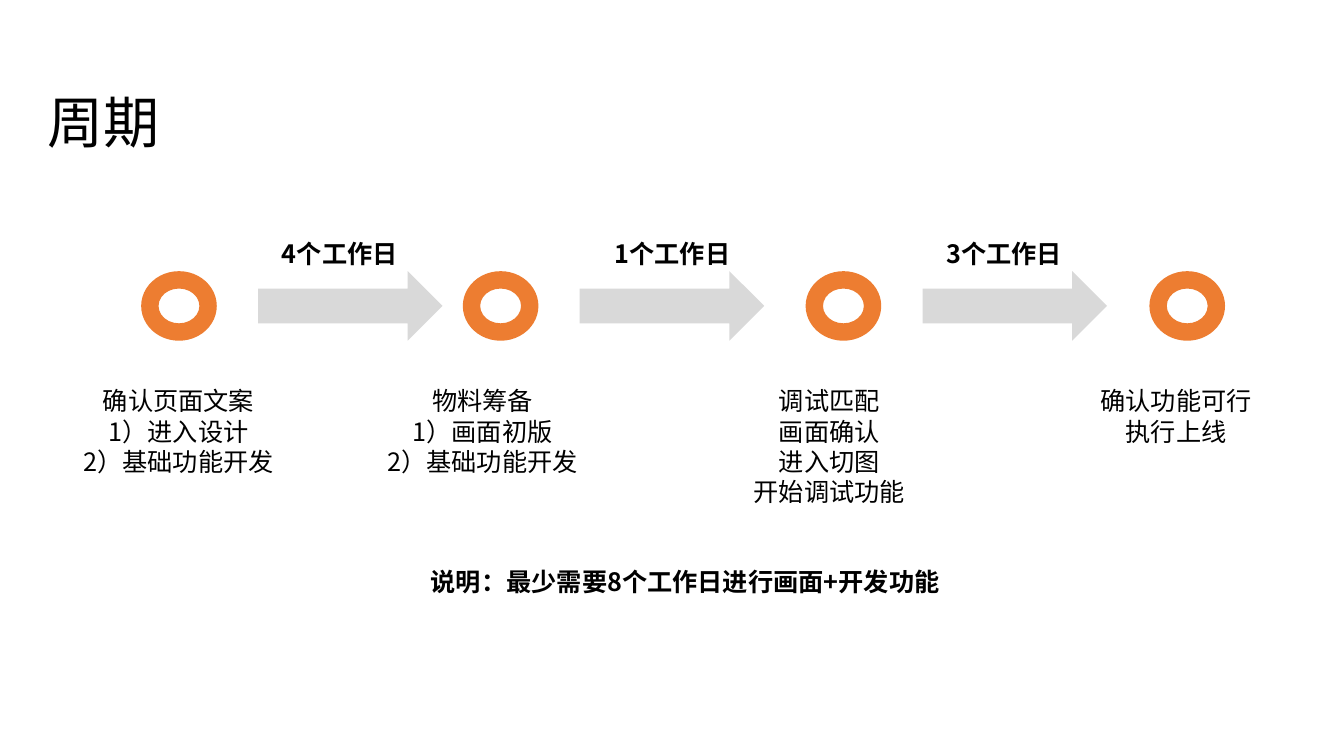
from lxml.etree import SubElement
from pptx import Presentation
from pptx.dml.color import RGBColor
from pptx.enum.shapes import MSO_SHAPE as Preset
from pptx.enum.text import PP_ALIGN as Align
from pptx.oxml.ns import qn
from pptx.util import Inches, Pt

FONT = "Noto Sans CJK SC"
COLORS = {"ring": "ED7D31", "arrow": "D9D9D9", "text": "000000"}
TRACK_TOP, TRACK_HEIGHT = 2.69, 0.69
RING_WIDTH, ARROW_WIDTH = 0.75, 1.83
RING_TO_ARROW = 1.16
STEP_TOP, LINE_HEIGHT = 3.75, 0.3

presentation = Presentation()
presentation.slide_width, presentation.slide_height = Inches(13.33), Inches(7.5)
slide = presentation.slides.add_slide(presentation.slide_layouts[6])


def add_text(lines, left, top, width, height, size=18, bold=False, align=Align.CENTER):
    box = slide.shapes.add_textbox(*map(Inches, (left, top, width, height)))
    frame = box.text_frame
    frame.word_wrap = True
    # The fixed line pitch raises the glyphs, so the top inset grows with the size
    frame.margin_top = Inches(0.05 + size * 0.0015)
    frame.margin_bottom = Inches(0.02)
    frame.text = "\n".join(lines)
    for paragraph in frame.paragraphs:
        paragraph.alignment = align
        paragraph.line_spacing = Pt(size * 1.2)
        for run in paragraph.runs:
            for name, value in {"name": FONT, "size": Pt(size), "bold": bold}.items():
                setattr(run.font, name, value)
            run.font.color.rgb = RGBColor.from_string(COLORS["text"])
            SubElement(run.font._element, qn("a:ea"), typeface=FONT)


def add_marker(preset, left, width, color):
    shape = slide.shapes.add_shape(
        preset, *map(Inches, (left, TRACK_TOP, width, TRACK_HEIGHT)))
    shape.shadow.inherit = False
    shape.fill.solid()
    shape.fill.fore_color.rgb = RGBColor.from_string(COLORS[color])
    shape.line.fill.background()


add_text(["周期"], 0.37, 0.76, 6.75, 0.77, size=40, align=Align.LEFT)

# Ring left, text left, text width, lines
steps = [
    (1.4, 0.61, 2.32, ["确认页面文案", "1）进入设计", "2）基础功能开发"]),
    (4.59, 3.68, 2.21, ["物料筹备", "1）画面初版", "2）基础功能开发"]),
    (7.99, 7.12, 2.21, ["调试匹配", "画面确认", "进入切图", "开始调试功能"]),
    (11.4, 10.56, 2.21, ["确认功能可行", "执行上线"]),
]
for ring_left, text_left, text_width, lines in steps:
    add_marker(Preset.DONUT, ring_left, RING_WIDTH, "ring")
    add_text(lines, text_left, STEP_TOP, text_width, 0.11 + LINE_HEIGHT * len(lines))

durations = [(2.61, "4个工作日"), (5.91, "1个工作日"), (9.2, "3个工作日")]
for (ring_left, *_), (label_left, label) in zip(steps, durations):
    add_marker(Preset.RIGHT_ARROW, ring_left + RING_TO_ARROW, ARROW_WIDTH, "arrow")
    add_text([label], label_left, 2.29, 1.52, 0.4, bold=True)

add_text(["说明：最少需要8个工作日进行画面+开发功能"], 0.82, 5.54, 11.95, 0.4, bold=True)

presentation.save("out.pptx")
